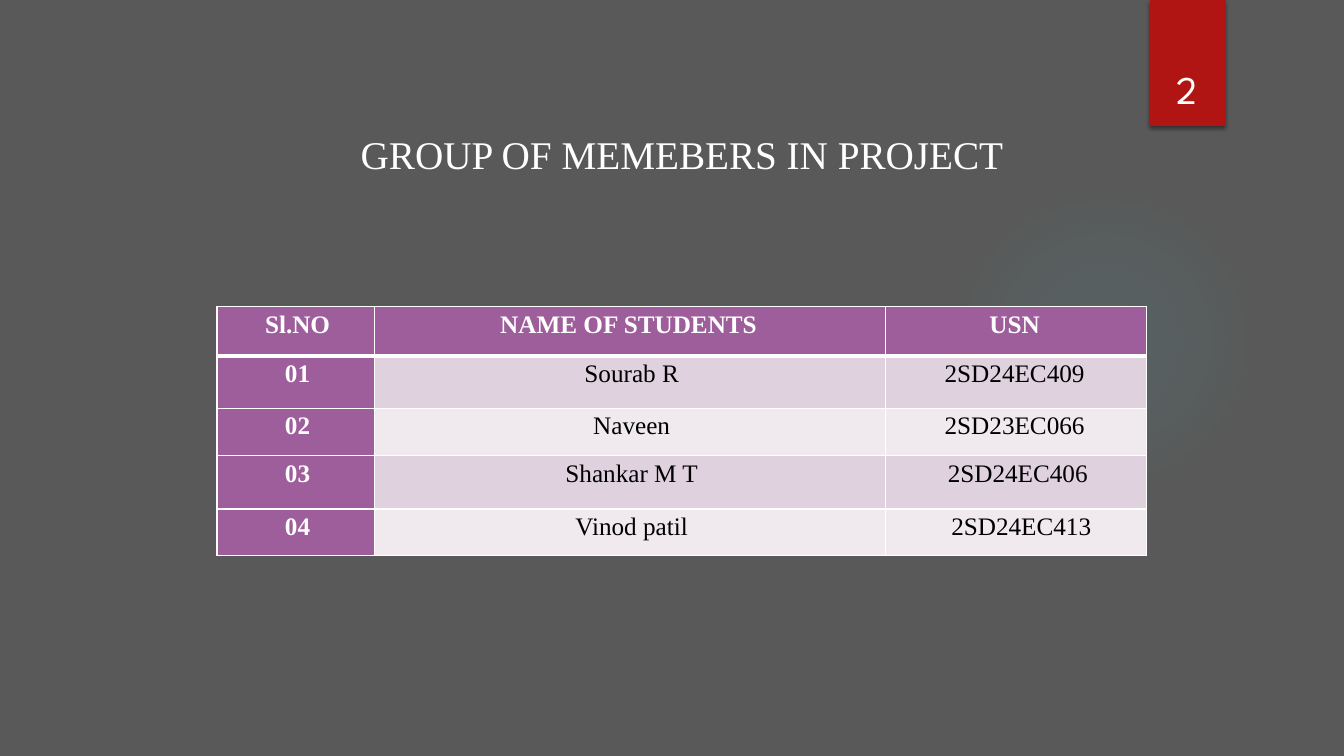
from lxml import etree
from pptx import Presentation
from pptx.dml.color import RGBColor
from pptx.enum import shapes, text
from pptx.oxml import ns, parse_xml
from pptx.util import Pt

GREY = RGBColor(0x59, 0x59, 0x59)
TEAL = RGBColor(0x50, 0xB9, 0xC1)
RED = RGBColor(0xB0, 0x15, 0x13)
PURPLE = RGBColor(0x9E, 0x5E, 0x9B)
LILAC = RGBColor(0xDF, 0xD2, 0xDE)
PALE = RGBColor(0xF0, 0xEA, 0xEF)
WHITE = RGBColor(0xFF, 0xFF, 0xFF)
BLACK = RGBColor(0, 0, 0)
SERIF, SANS = "Times New Roman", "League Spartan"
EMU = 12700  # per point

COLUMNS = [112.3, 365.1, 186.5]
ROWS = [35.3, 37.4, 33.8, 38.2, 33.1]
# The trailing spaces shift the centred text slightly to the left.
MEMBERS = [
    ("Sl.NO", "NAME OF STUDENTS ", "USN "),
    ("01", "Sourab R", "2SD24EC409 "),
    ("02", "Naveen", "2SD23EC066 "),
    ("03", "Shankar M T", "2SD24EC406"),
    ("04", "Vinod patil", "2SD24EC413"),
]


def xml(markup):
    return parse_xml(markup.replace(">", f" {ns.nsdecls('a')}>", 1))


def write(tf, words, size=28, font=SERIF, color=WHITE, bold=False, after=0,
          indent=0, anchor=text.MSO_ANCHOR.TOP):
    tf.word_wrap = True
    tf.vertical_anchor = anchor
    p = tf.paragraphs[0]
    p.alignment = text.PP_ALIGN.CENTER
    p.space_after = Pt(after)
    if indent:
        p._p.get_or_add_pPr().set("marL", str(Pt(indent)))
    r = p.add_run()
    r.text = words
    r.font.name, r.font.size, r.font.bold = font, Pt(size), bold
    r.font.color.rgb = color


def add_glow(s, x, y, size):
    sp = s.shapes.add_shape(shapes.MSO_SHAPE.OVAL, Pt(x), Pt(y), Pt(size), Pt(size))
    sp.shadow.inherit = False
    sp.line.fill.background()
    stops = "".join(
        f'<a:gs pos="{pos * 1000}"><a:srgbClr val="{TEAL}">'
        f'<a:alpha val="{alpha * 1000}"/></a:srgbClr></a:gs>'
        for pos, alpha in [(0, 7), (36, 6), (69, 0)])
    sp._element.spPr.find(ns.qn("a:prstGeom")).addnext(xml(
        f'<a:gradFill><a:gsLst>{stops}</a:gsLst><a:path path="circle">'
        '<a:fillToRect l="50000" t="50000" r="50000" b="50000"/></a:path></a:gradFill>'))


def add_number_tab(s, x, y, w, h, number):
    sp = s.shapes.add_shape(shapes.MSO_SHAPE.RECTANGLE, Pt(x), Pt(y), Pt(w), Pt(h))
    sp.fill.solid()
    sp.fill.fore_color.rgb = RED
    sp.line.fill.background()
    sp.shadow.inherit = False
    sp._element.spPr.find(ns.qn("a:effectLst")).append(xml(
        f'<a:outerShdw blurRad="{3 * EMU}" dist="{2 * EMU}" dir="5400000" rotWithShape="0">'
        '<a:srgbClr val="000000"><a:alpha val="45000"/></a:srgbClr></a:outerShdw>'))
    box = s.shapes.add_textbox(Pt(x - 6.5), Pt(y + 23), Pt(w + 12.2), Pt(h - 29.5))
    write(box.text_frame, number, font=SANS, anchor=text.MSO_ANCHOR.BOTTOM)


def add_title(s, x, y, w, h, words):
    title = s.shapes.title
    title.left, title.top, title.width, title.height = Pt(x), Pt(y), Pt(w), Pt(h)
    title.text_frame.auto_size = text.MSO_AUTO_SIZE.NONE
    write(title.text_frame, words)


def set_borders(cell, **widths):
    """Draw white borders; widths are points by side: L, R, T, B."""
    tcPr = cell._tc.get_or_add_tcPr()
    for side, width in widths.items():
        ln = etree.SubElement(tcPr, ns.qn(f"a:ln{side}"), w=str(width * EMU))
        fill = etree.SubElement(ln, ns.qn("a:solidFill"))
        etree.SubElement(fill, ns.qn("a:srgbClr"), val=str(WHITE))


def add_members(s, x, y, w, h):
    table = s.shapes.add_table(len(ROWS), len(COLUMNS), Pt(x), Pt(y), Pt(w), Pt(h)).table
    table.first_col = True
    for column, width in zip(table.columns, COLUMNS):
        column.width = Pt(width)
    for row, height in zip(table.rows, ROWS):
        row.height = Pt(height)
    for i, member in enumerate(MEMBERS):
        for j, words in enumerate(member):
            cell = table.cell(i, j)
            heading = i == 0 or j == 0
            set_borders(cell, L=1, R=1, T=3 if i == 1 else 1, B=3 if i == 0 else 1)
            cell.fill.solid()
            cell.fill.fore_color.rgb = PURPLE if heading else LILAC if i % 2 else PALE
            cell.margin_left, cell.margin_top = Pt(5), Pt(3)
            cell.margin_right, cell.margin_bottom = Pt(2.2), Pt(0)
            write(cell.text_frame, words, size=18, bold=heading,
                  color=WHITE if heading else BLACK,
                  after=0 if j == 2 and 0 < i < 4 else 8,
                  indent=5 if (i, j) == (4, 2) else 0)


def main():
    prs = Presentation()
    prs.slide_width, prs.slide_height = Pt(960), Pt(540)
    s = prs.slides.add_slide(prs.slide_layouts[5])
    s.background.fill.solid()
    s.background.fill.fore_color.rgb = GREY
    add_glow(s, 677.5, 131.8, 221.8)
    add_number_tab(s, 821.5, 0, 54, 90, "2")
    add_members(s, 155, 218.9, sum(COLUMNS), sum(ROWS))
    add_title(s, 58.3, 89.3, 857.5, 41, "GROUP OF MEMEBERS IN PROJECT")
    prs.save("out.pptx")


if __name__ == "__main__":
    main()
